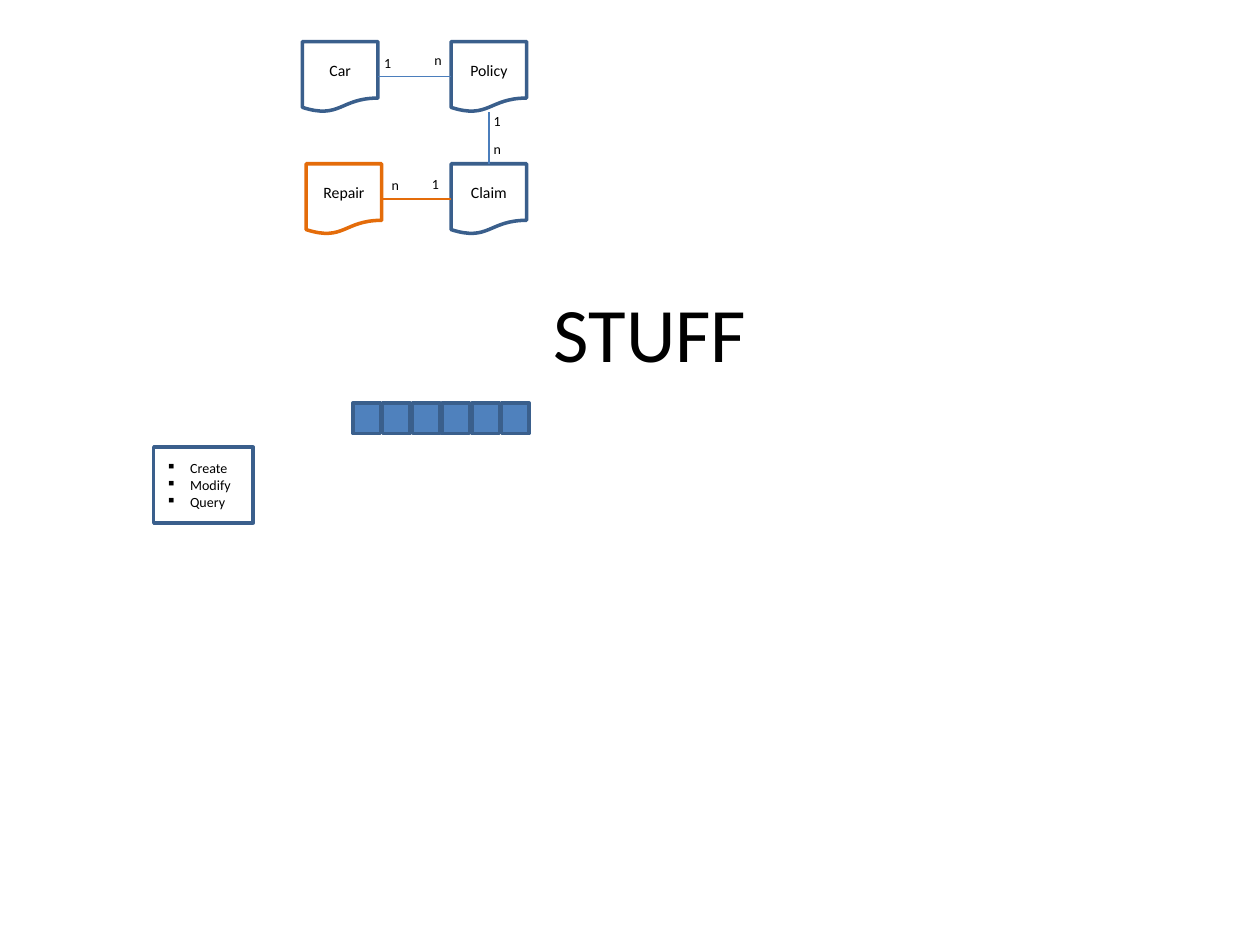
from pptx import Presentation
from pptx import util as u
from pptx.dml.color import RGBColor
from pptx.enum import shapes, text
from lxml import etree

BLACK = RGBColor(0, 0, 0)
WHITE = RGBColor(0xFF, 0xFF, 0xFF)
NAVY = RGBColor(0x3A, 0x5F, 0x8C)
BLUE = RGBColor(0x4F, 0x81, 0xBD)
LINK_BLUE = RGBColor(0x4B, 0x7E, 0xBC)
ORANGE = RGBColor(0xE4, 0x6C, 0x0A)
FONT = "Calibri"

# Content: entities (left, top, colour), relations and their end labels
ENTITY_SIZE = (0.6, 0.56)
ENTITIES = {
    "Policy": (3.58, 0.33, NAVY),
    "Car": (2.4, 0.33, NAVY),
    "Claim": (3.58, 1.3, NAVY),
    "Repair": (2.43, 1.3, ORANGE),
}
TOP, LEFT, BOTTOM, RIGHT = range(4)  # connection sites
RELATIONS = [
    ("Car", RIGHT, "Policy", LEFT, LINK_BLUE),
    ("Policy", BOTTOM, "Claim", TOP, LINK_BLUE),
    ("Claim", LEFT, "Repair", RIGHT, ORANGE),
]
CARDINALITIES = [
    ("1", 2.95, 0.38), ("n", 3.35, 0.36),
    ("1", 3.82, 0.84), ("n", 3.82, 1.07),
    ("n", 3.01, 1.35), ("1", 3.33, 1.34),
]
ACTIONS = ["Create", "Modify", "Query"]
CELLS, CELL_LEFT, CELL_PITCH = 6, 2.8, 0.236

prs = Presentation()
prs.slide_width, prs.slide_height = u.Inches(10), u.Inches(7.5)
slide = prs.slides.add_slide(prs.slide_layouts[5])


def inches(*lengths):
    return [u.Inches(length) for length in lengths]


def write(frame, lines, size, align):
    frame.text = "\n".join(lines)
    for par in frame.paragraphs:
        par.alignment = align
        par.font.size, par.font.name = u.Pt(size), FONT
        par.font.color.rgb = BLACK


def add_block(kind, box, line, fill=None):
    block = slide.shapes.add_shape(kind, *inches(*box))
    block.shadow.inherit = False
    block.line.color.rgb, block.line.width = line, u.Pt(2)
    if fill is None:
        block.fill.background()
    else:
        block.fill.solid()
        block.fill.fore_color.rgb = fill
    block.text_frame.vertical_anchor = text.MSO_ANCHOR.MIDDLE
    return block


# Title
title = slide.shapes.title
title.left, title.top, title.width, title.height = inches(0.91, 1.83, 8.5, 1.61)
write(title.text_frame, ["STUFF"], 44, text.PP_ALIGN.CENTER)
title.text_frame.vertical_anchor = text.MSO_ANCHOR.MIDDLE

# Entities
entities = {}
for name, (left, top, colour) in ENTITIES.items():
    entity = add_block(shapes.MSO_SHAPE.FLOWCHART_DOCUMENT,
                       (left, top, *ENTITY_SIZE), colour)
    entity.text_frame.margin_left = entity.text_frame.margin_right = 0
    write(entity.text_frame, [name], 9, text.PP_ALIGN.CENTER)
    entities[name] = entity

# Relations
for start, start_site, end, end_site, colour in RELATIONS:
    relation = slide.shapes.add_connector(shapes.MSO_CONNECTOR.STRAIGHT, 0, 0, 0, 0)
    relation.begin_connect(entities[start], start_site)
    relation.end_connect(entities[end], end_site)
    relation.line.color.rgb, relation.line.width = colour, u.Pt(0.75)
    props = relation.line._get_or_add_ln().getparent()
    etree.SubElement(props, "{http://schemas.openxmlformats.org/drawingml/2006/main}effectLst")

for label, left, top in CARDINALITIES:
    cardinality = slide.shapes.add_textbox(*inches(left, top, 0.26, 0.24))
    cardinality.text_frame.word_wrap = False
    write(cardinality.text_frame, [label], 8, text.PP_ALIGN.LEFT)

# Row of cells
for i in range(CELLS):
    add_block(shapes.MSO_SHAPE.RECTANGLE,
              (CELL_LEFT + i * CELL_PITCH, 3.2, 0.22, 0.24), NAVY, BLUE)

# Actions
actions = add_block(shapes.MSO_SHAPE.RECTANGLE, (1.22, 3.55, 0.79, 0.6), NAVY, WHITE)
write(actions.text_frame, ACTIONS, 8, text.PP_ALIGN.LEFT)
for par in actions.text_frame.paragraphs:
    props = par._p.get_or_add_pPr()
    props.set("marL", str(u.Inches(0.19)))
    props.set("indent", str(-u.Inches(0.19)))
    bullet = etree.Element("{http://schemas.openxmlformats.org/drawingml/2006/main}buChar", char="▪")
    props.insert(0, bullet)

prs.save("out.pptx")
